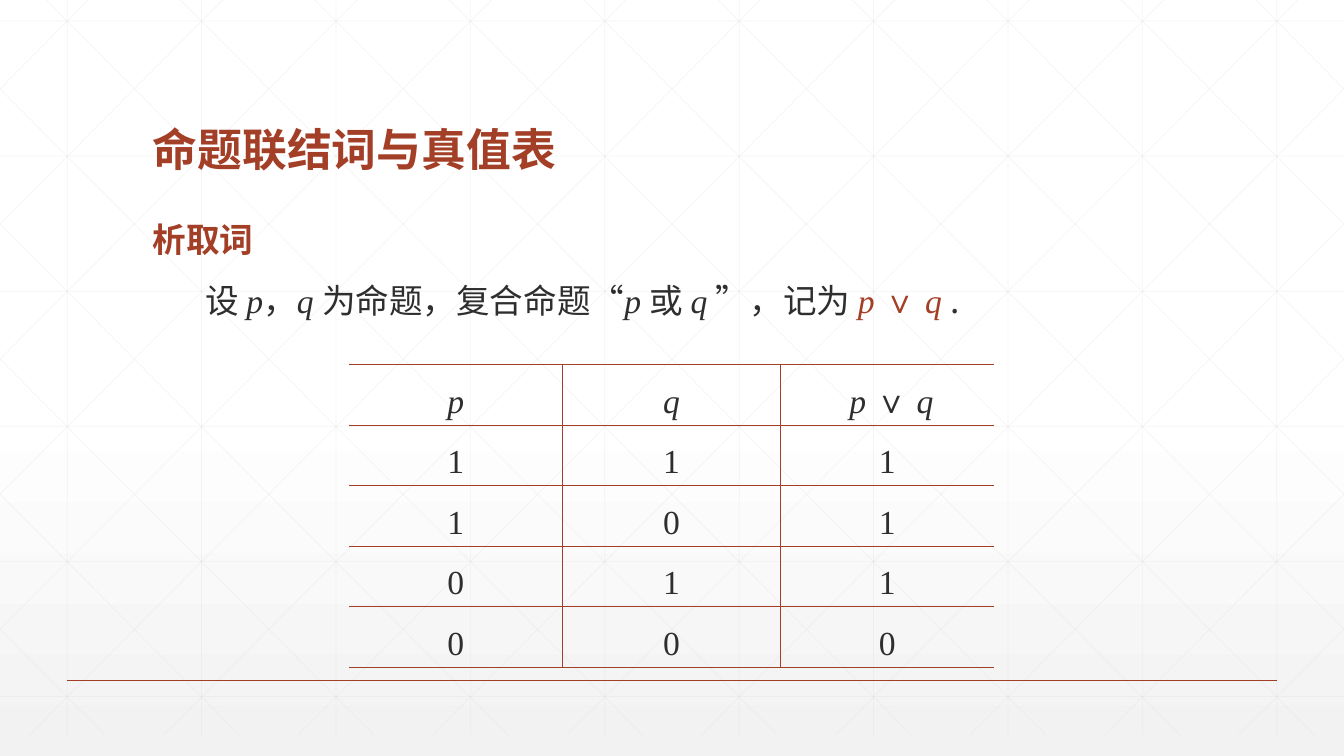
"""Build a slide that defines disjunction and shows its truth table."""
from copy import deepcopy
from lxml.etree import SubElement
from pptx import Presentation
from pptx.dml.color import RGBColor
from pptx.enum.lang import MSO_LANGUAGE_ID
from pptx.enum.shapes import MSO_CONNECTOR
from pptx.enum.text import MSO_ANCHOR, PP_ALIGN
from pptx.oxml.ns import qn
from pptx.util import Pt

RUST, INK, GRID = "A43F27", "2D2E2D", "D9D9D9"
HAN, LATIN = "Noto Sans CJK SC", "Times New Roman"


def write(paragraph, text, font=HAN, size=24, color=INK, bold=False, italic=False):
    run = paragraph.add_run()
    run.text = text
    run.font.size, run.font.bold, run.font.italic = Pt(size), bold, italic
    run.font.color.rgb = RGBColor.from_string(color)
    run.font.language_id = MSO_LANGUAGE_ID.SIMPLIFIED_CHINESE
    run.font.name = font
    SubElement(run.font._element, qn("a:ea")).set("typeface", font)


def draw_line(x1, y1, x2, y2, color=GRID, width=0.5, alpha=25):
    line = slide.shapes.add_connector(
        MSO_CONNECTOR.STRAIGHT, Pt(x1), Pt(y1), Pt(x2), Pt(y2))
    line.line.color.rgb = RGBColor.from_string(color)
    line.line.width = Pt(width)
    properties = line.element.spPr
    tint = properties.find(".//" + qn("a:srgbClr"))
    SubElement(tint, qn("a:alpha")).set("val", str(alpha * 1000))
    SubElement(properties, qn("a:effectLst"))


deck = Presentation()
deck.slide_width, deck.slide_height = Pt(960), Pt(540)
slide = deck.slides.add_slide(deck.slide_layouts[6])

backdrop = slide.background.fill
backdrop.gradient()
backdrop.gradient_angle = 270
for stop, shade in zip(backdrop.gradient_stops, ("FFFFFF", "F2F2F2")):
    stop.color.rgb = RGBColor.from_string(shade)
stops = slide.element.find(".//" + qn("a:gsLst"))
middle_stop = deepcopy(stops[0])
middle_stop.set("pos", "53000")
stops.insert(1, middle_stop)

for column in range(10):
    draw_line(48 + 96 * column, -15, 48 + 96 * column, 525)
for row in range(6):
    draw_line(0, 15 + 96.5 * row, 960, 15 + 96.5 * row)
for step in range(-5, 10):
    top_x = 18 + 96 * step
    start, end = max(top_x, 0), min(top_x + 537, 960)
    start_y, end_y = [-15 + (x - top_x) * 540 / 537 for x in (start, end)]
    draw_line(start, start_y, end, end_y)
    draw_line(960 - start, start_y, 960 - end, end_y)
draw_line(48, 486, 912, 486, color=RUST, width=1, alpha=100)

title = slide.shapes.add_textbox(Pt(102), Pt(39.6), Pt(756), Pt(90)).text_frame
title.word_wrap = True
title.vertical_anchor = MSO_ANCHOR.BOTTOM
title.paragraphs[0].line_spacing = 0.9
write(title.paragraphs[0], "命题联结词与真值表", size=32, color=RUST, bold=True)

body = slide.shapes.add_textbox(Pt(102), Pt(156), Pt(756), Pt(300)).text_frame
body.word_wrap = True
heading = body.paragraphs[0]
heading.line_spacing = 0.9
write(heading, "析取词", color=RUST, bold=True)

definition = body.add_paragraph()
definition.line_spacing = 0.9
definition.space_before = Pt(18)
definition._p.get_or_add_pPr().set("indent", str(Pt(37.6)))
variable = dict(font=LATIN, italic=True)
for text, style in [
    ("设 ", {}), ("p", variable), ("，", {}), ("q ", variable),
    ("为命题，复合命题“", {}), ("p ", variable), ("或 ", {}), ("q ", variable),
    ("”，记为 ", {}), ("p ", dict(variable, color=RUST)),
    ("∨ ", dict(font=LATIN, color=RUST)), ("q ", dict(variable, color=RUST)), (".", {}),
]:
    write(definition, text, **style)

truth_rows = [
    [["p"], ["q"], [" ", "p ", "∨ ", "q"]],
    [["1"], ["1"], ["1"]],
    [["1"], ["0"], ["1"]],
    [["0"], ["1"], ["1"]],
    [["0"], ["0"], ["0"]],
]
truth_table = slide.shapes.add_table(5, 3, Pt(249.2), Pt(260.6), Pt(461), Pt(208)).table
truth_table.first_row = truth_table.horz_banding = False
for column, width in zip(truth_table.columns, (152.8, 155.4, 152.8)):
    column.width = Pt(width)
for row, values in zip(truth_table.rows, truth_rows):
    row.height = Pt(41.6)
    for index, (cell, parts) in enumerate(zip(row.cells, values)):
        cell.margin_left = cell.margin_right = Pt(5)
        cell.margin_top = cell.margin_bottom = 0
        entry = cell.text_frame.paragraphs[0]
        entry.alignment = PP_ALIGN.CENTER
        entry.line_spacing = 1.5
        for part in parts:
            write(entry, part, font=LATIN, italic=part.strip() in ("p", "q"))
        cell_properties = cell._tc.get_or_add_tcPr()
        for side, ruled in zip("LRTB", (index > 0, index < 2, True, True)):
            edge = SubElement(cell_properties, qn("a:ln" + side), w=str(Pt(1)))
            if ruled:
                ink = SubElement(edge, qn("a:solidFill"))
                SubElement(ink, qn("a:srgbClr"), val=RUST)
            else:
                SubElement(edge, qn("a:noFill"))
        cell.fill.background()

deck.save("out.pptx")
